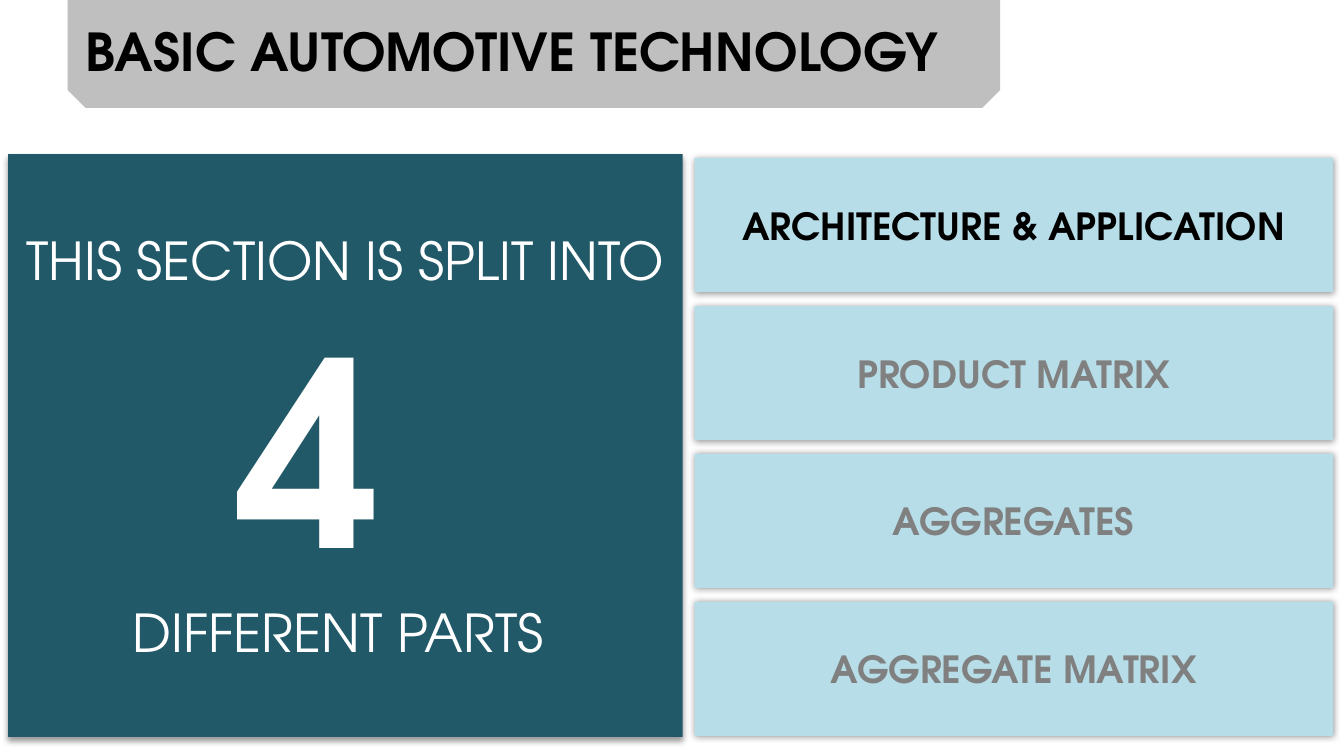
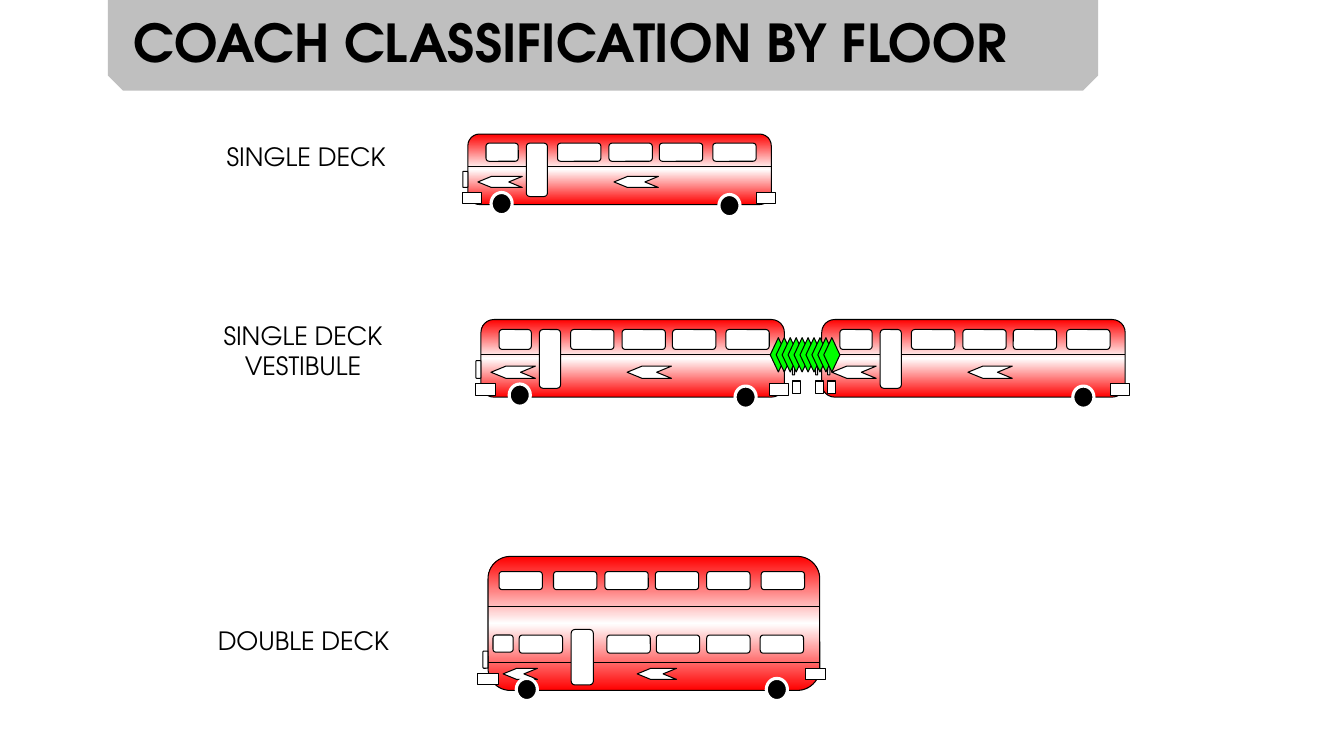
from copy import deepcopy

from lxml import etree
from pptx import Presentation, util as u
from pptx.dml.color import RGBColor
from pptx.enum import shapes, text
from pptx.oxml import ns

HUES = {
    "black": "000000", "white": "FFFFFF", "band": "BFBFBF", "panel": "215968",
    "card": "B7DEE8", "dim": "808080", "red": "FF0000", "green": "00FF00",
}
RGB = {name: RGBColor.from_string(code) for name, code in HUES.items()}
KIND = shapes.MSO_SHAPE
MID, TOP = text.MSO_ANCHOR.MIDDLE, text.MSO_ANCHOR.TOP
LEFT, CENTER = text.PP_ALIGN.LEFT, text.PP_ALIGN.CENTER

deck = Presentation()
deck.slide_width, deck.slide_height = u.Inches(13.33), u.Inches(7.5)
CELL = deck.slide_height / 75  # square grid: 75 rows, 133.3 columns


def draw(page, kind, box, fill="white", edge="black", width=0.75):
    """Add a shape, or a line if kind is None; box is left, top, columns, rows."""
    x, y, w, h = [round(n * CELL) for n in box]
    if kind is None:
        item = page.shapes.add_connector(shapes.MSO_CONNECTOR.STRAIGHT, x, y, x + w, y + h)
        etree.SubElement(item._element.spPr, ns.qn("a:effectLst"))
    else:
        item = page.shapes.add_shape(kind, x, y, w, h)
        item.shadow.inherit = False
        if fill == "shade":
            item.fill.gradient()
            item.fill.gradient_angle = 90
            stops = item._element.spPr.find(".//" + ns.qn("a:gsLst"))
            stops.insert(1, deepcopy(stops[0]))
            for stop, hue, spot in zip(item.fill.gradient_stops, ("red", "white", "red"), (0, 0.5, 1)):
                stop.color.rgb, stop.position = RGB[hue], spot
        else:
            item.fill.solid()
            item.fill.fore_color.rgb = RGB[fill]
    if edge:
        item.line.color.rgb = RGB[edge]
        item.line.width = u.Pt(width)
    else:
        item.line.fill.background()
    return item


def write(item, lines, hue="black", align=CENTER, anchor=MID, wrap=True):
    """Fill a shape with lines, each a list of (words, size, bold) runs."""
    frame = item.text_frame
    frame.word_wrap, frame.vertical_anchor = wrap, anchor
    for i, runs in enumerate(lines):
        para = frame.add_paragraph() if i else frame.paragraphs[0]
        para.alignment = align
        for words, size, bold in runs:
            run = para.add_run()
            run.text = words
            look = {"name": "TeX Gyre Adventor", "size": u.Pt(size), "bold": bold}
            for key, value in look.items():
                setattr(run.font, key, value)
            run.font.color.rgb = RGB[hue]


# Pages with their title bands
TITLES = [
    ("BASIC AUTOMOTIVE TECHNOLOGY", (6.7, 0, 92.5, 10.7), (7.5, 1.4, 88.3, 7.3), False),
    ("COACH CLASSIFICATION BY FLOOR", (10.7, 0, 98.2, 9), (12.3, 0.5, 114.4, 7.3), True),
]
pages = []
for title, band, box, wrap in TITLES:
    page = deck.slides.add_slide(deck.slide_layouts[6])
    draw(page, KIND.SNIP_2_SAME_RECTANGLE, band, "band", None).rotation = 180
    label = page.shapes.add_textbox(*[round(n * CELL) for n in box])
    write(label, [[(title, 37.3, True)]], align=LEFT, anchor=TOP, wrap=wrap)
    pages.append(page)
parts, coach = pages

# Section parts: a panel and four cards
panel = draw(parts, KIND.RECTANGLE, (0.8, 15.3, 66.9, 57.8), "panel", None)
write(panel, [
    [("THIS SECTION IS SPLIT INTO ", 37.3, False), ("4 ", 184, True)],
    [("DIFFERENT PARTS ", 37.3, False)],
], "white")
glows = [(panel, 4, 3, 90)]
NAMES = ["ARCHITECTURE & APPLICATION", "PRODUCT MATRIX", "AGGREGATES", "AGGREGATE MATRIX"]
for i, name in enumerate(NAMES):
    card = draw(parts, KIND.RECTANGLE, (68.9, 15.7 + 14.67 * i, 63.3, 13.3), "card", None)
    write(card, [[(name, 26.7, True)]], "dim" if i else "black")
    glows.append((card, 5, 0, 0))
for item, blur, dist, turn in glows:
    effects = item._element.spPr.find(ns.qn("a:effectLst"))
    glow = etree.SubElement(effects, ns.qn("a:outerShdw"), blurRad=str(u.Pt(blur)),
                            dist=str(u.Pt(dist)), dir=str(turn * 60000), rotWithShape="0")
    tint = etree.SubElement(glow, ns.qn("a:srgbClr"), val=HUES["black"])
    etree.SubElement(tint, ns.qn("a:alpha"), val="40000")

# Coach labels
LABELS = [
    (21.4, 13.5, 17.9, 4, ["SINGLE DECK"]),
    (21.1, 31.2, 17.9, 7.1, ["SINGLE DECK", "VESTIBULE"]),
    (20.5, 61.5, 19.2, 4, ["DOUBLE DECK"]),
]
for *box, lines in LABELS:
    label = coach.shapes.add_textbox(*[round(n * CELL) for n in box])
    write(label, [[(line, 18, False)] for line in lines], wrap=False)

# Coach parts, measured from the top left corner of the body
ROUND, FLAT, ARROW = KIND.ROUNDED_RECTANGLE, KIND.RECTANGLE, KIND.CHEVRON
FRONT = [(ROUND, -0.5, 3.7, 0.5, 1.6), (FLAT, -0.5, 5.8, 1.9, 1.1)]
SINGLE = [
    (None, 0, 3.2, 30.1, 0),
    (ROUND, 5.8, 0.9, 2.1, 5.3),
    (ROUND, 1.8, 0.9, 3.2, 1.8),
    *[(ROUND, x, 0.9, 4.3, 1.8) for x in (8.9, 14, 19, 24.3)],
    (FLAT, 28.6, 5.8, 1.9, 1.1),
    *[(ARROW, x, 4.2, 4.4, 1.1) for x in (1, 14.5)],
]
DOUBLE = [
    *[(None, 0, y, 32.9, 0) for y in (5, 10.5)],
    (ROUND, 8.25, 7.25, 2.2, 5.5),
    *[(ROUND, x, 1.5, 4.3, 1.8) for x in (1.1, 6.5, 11.6, 16.6, 21.7, 27.1)],
    *[(ROUND, x, 7.8, 4.3, 1.8) for x in (3.1, 11.8, 16.7, 21.7, 27)],
    (ROUND, 0.5, 7.8, 2, 1.7),
    (ROUND, -0.5, 9.4, 0.5, 1.7),
    (FLAT, -1, 11.6, 2, 1.1),
    (FLAT, 31.5, 11.1, 2, 1.1),
    (ARROW, 1.5, 11.1, 3.4, 1.1),
    (ARROW, 14.8, 11.1, 3.9, 1.1),
]
FLEET = [  # left, top, columns, rows, stretch, fittings
    (48.4, 55.2, 32.9, 13.3, 1, DOUBLE),
    (46.4, 13.3, 30.1, 7, 1, SINGLE + FRONT),
    (47.7, 31.7, 30.1, 7.7, 1.1, SINGLE + FRONT),
    (81.5, 31.7, 30.1, 7.7, 1.1, SINGLE),
]
for left, top, cols, rows, grow, fits in FLEET:
    draw(coach, ROUND, (left, top, cols, rows), "shade")
    for kind, x, y, w, h in fits:
        item = draw(coach, kind, (left + x, top + y * grow, w, h * grow))
        if kind == ARROW:
            item.rotation = 180
            item.adjustments[0] = 1.22

# Vestibule: couplers below a row of folds
for x in (78.6, 80.9, 82.1):
    draw(coach, ROUND, (x, 35.5, 0.2, 1.7))
    draw(coach, FLAT, (x, 37.8, 0.8, 1.2))
for i in range(10):
    fold = draw(coach, KIND.HEXAGON, (75.5 + 0.59 * i, 34.4, 3.4, 1.6), "green")
    fold.rotation = 270
    fold.adjustments[0] = 1.06

# Wheels
WHEELS = [(72.9, 38.3), (106.4, 38.3), (50.5, 38.1), (48.7, 19.1),
          (71.3, 19.3), (76, 67.3), (51.2, 67.3)]
for x, y in WHEELS:
    draw(coach, KIND.OVAL, (x, y, 2.1, 2.2), "black", "white", 2.25)

deck.save("out.pptx")
